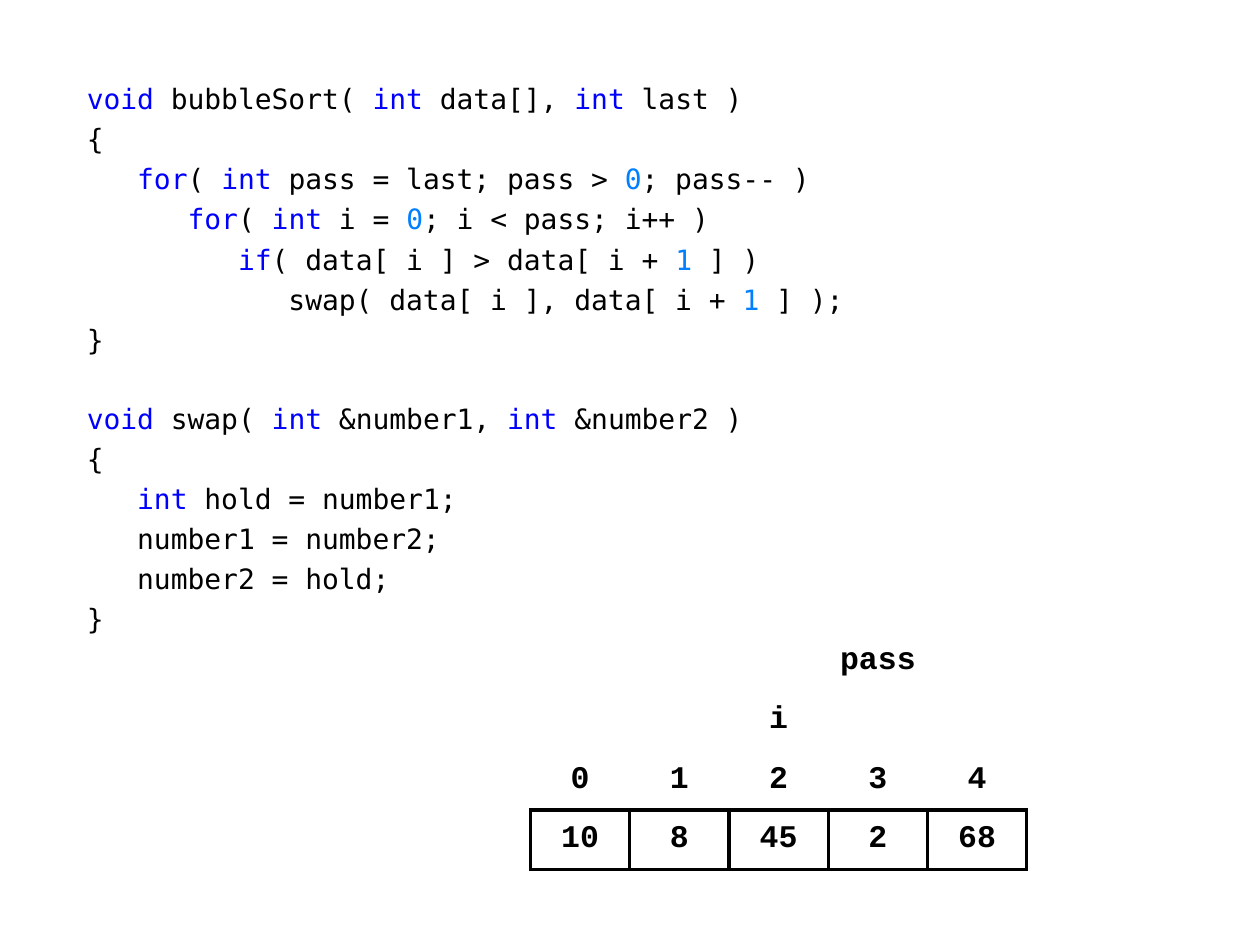
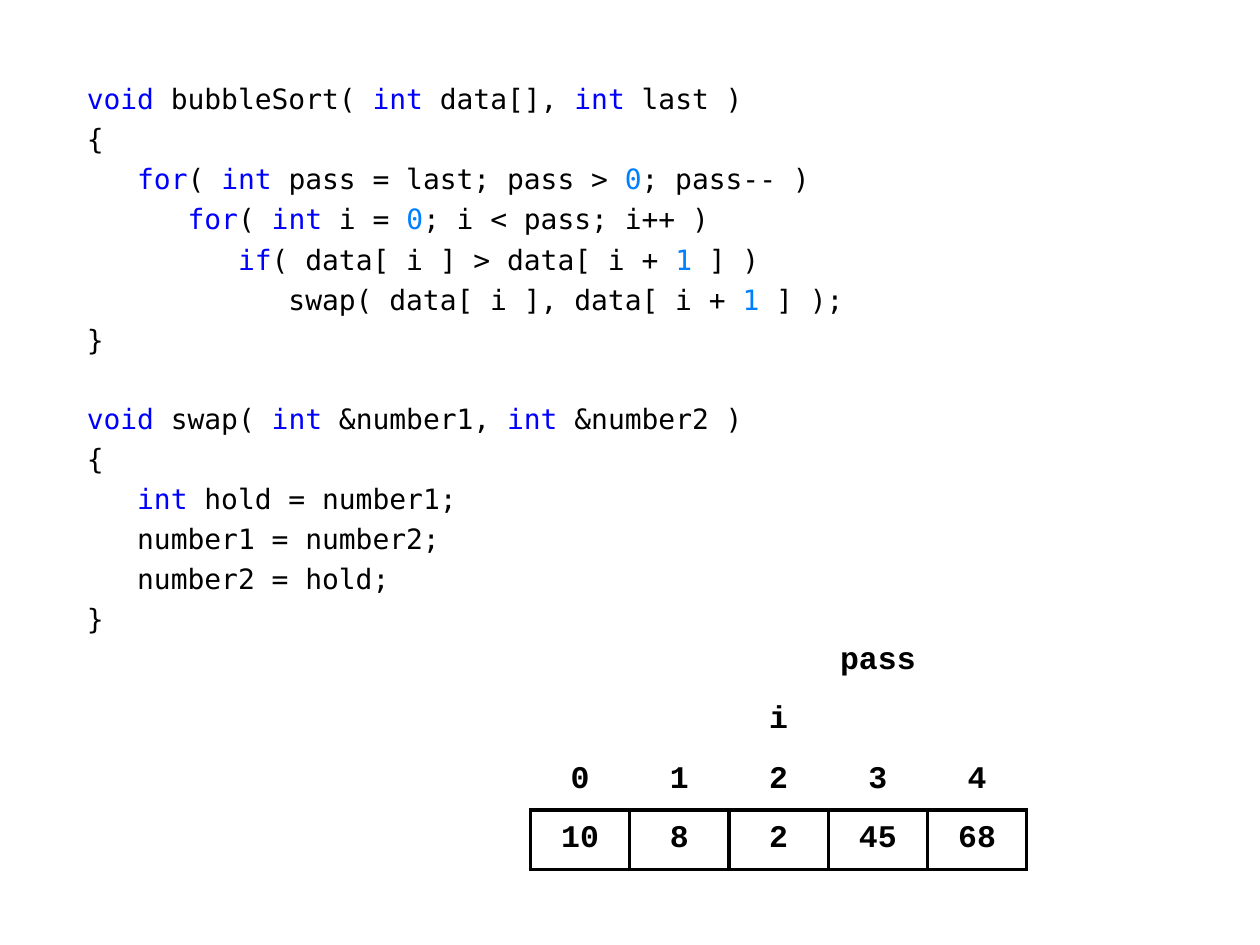
from itertools import groupby

from lxml import etree
from pptx import Presentation
from pptx.dml.color import RGBColor
from pptx.enum.text import MSO_ANCHOR as Anchor, PP_ALIGN as Align
from pptx.oxml.ns import qn
from pptx.util import Inches, Pt

BLACK, WHITE = "000000", "FFFFFF"
BLUE, AZURE = "0000FF", "0080FF"
MONO, COURIER = "DejaVu Sans Mono", "Courier New"
WORDS = {"void", "int", "for", "if"}
GAP = 3.7       # space before a line of code
SKIP = 26.1     # space before a new function

SORT = """\
void bubbleSort( int data[], int last )
{
   for( int pass = last; pass > 0; pass-- )
      for( int i = 0; i < pass; i++ )
         if( data[ i ] > data[ i + 1 ] )
            swap( data[ i ], data[ i + 1 ] );
}"""
SWAP = """\
void swap( int &number1, int &number2 )
{
   int hold = number1;
   number1 = number2;
   number2 = hold;
}"""

# Values, then the columns that "pass" and "i" point at
STEPS = [
    ([10, 8, 45, 2, 68], 3, 2),
    ([10, 8, 2, 45, 68], 3, 2),
]


def paint(value):
    return RGBColor.from_string(value)


def write(par, text, size=18, color=BLACK, font=COURIER, bold=False):
    run = par.add_run()
    run.text = text
    run.font.size = Pt(size)
    run.font.name = font
    run.font.bold = bold
    run.font.color.rgb = paint(color)


def hue(token):
    if token in WORDS:
        return BLUE
    return AZURE if token.isdigit() else BLACK


def tokens(line):
    """Split a line into (colour, text), joining neighbours of one colour."""
    parts = ("".join(group) for _, group in groupby(line, str.isalnum))
    for color, group in groupby(parts, hue):
        yield color, "".join(group)


def edge(cell, sides):
    """Draw the cell's borders on the given sides (L, R, T, B)."""
    props = cell._tc.get_or_add_tcPr()
    for side in sides:
        line = etree.SubElement(props, qn(f"a:ln{side}"), w=str(Pt(2.25)))
        fill = etree.SubElement(line, qn("a:solidFill"))
        etree.SubElement(fill, qn("a:srgbClr"), val=BLACK)


def code(slide, left, top, width, height):
    frame = slide.shapes.add_textbox(left, top, width, height).text_frame
    frame.word_wrap = True
    par = frame.paragraphs[0]
    for block in (SORT, SWAP):
        for num, line in enumerate(block.split("\n")):
            if block is SWAP or num:
                par = frame.add_paragraph()
                par.space_before = Pt(GAP if num else SKIP)
            for color, text in tokens(line):
                write(par, text, size=16, color=color, font=MONO)


def array(slide, left, top, width, height, values, end, index):
    count = len(values)
    rows = [
        ["pass" if col == end else "" for col in range(count)],
        ["i" if col == index else "" for col in range(count)],
        range(count),
        values,
    ]
    sides = ["", "", "B", "LRTB"]
    table = slide.shapes.add_table(
        len(rows), count, left, top, width, height).table
    table.first_row = table.horz_banding = False
    for row, items in enumerate(rows):
        for col, item in enumerate(items):
            cell = table.cell(row, col)
            edge(cell, sides[row])
            if row == len(rows) - 1 and col:
                cell.fill.solid()
                cell.fill.fore_color.rgb = paint(WHITE)
            else:
                cell.fill.background()
            cell.margin_left = cell.margin_right = Inches(0.04)
            cell.margin_top = cell.margin_bottom = Inches(0.05)
            cell.vertical_anchor = Anchor.MIDDLE
            par = cell.text_frame.paragraphs[0]
            par.alignment = Align.CENTER
            if item != "":
                write(par, str(item), bold=True)


def main():
    deck = Presentation()
    deck.slide_width, deck.slide_height = Inches(10), Inches(7.5)
    blank = deck.slide_layouts[6]
    for values, end, index in STEPS:
        slide = deck.slides.add_slide(blank)
        code(slide, *map(Inches, (0.59, 0.6, 8.82, 4.57)))
        array(slide, *map(Inches, (4.21, 5.01, 3.94, 1.89)),
              values, end, index)
    deck.save("out.pptx")


if __name__ == "__main__":
    main()
